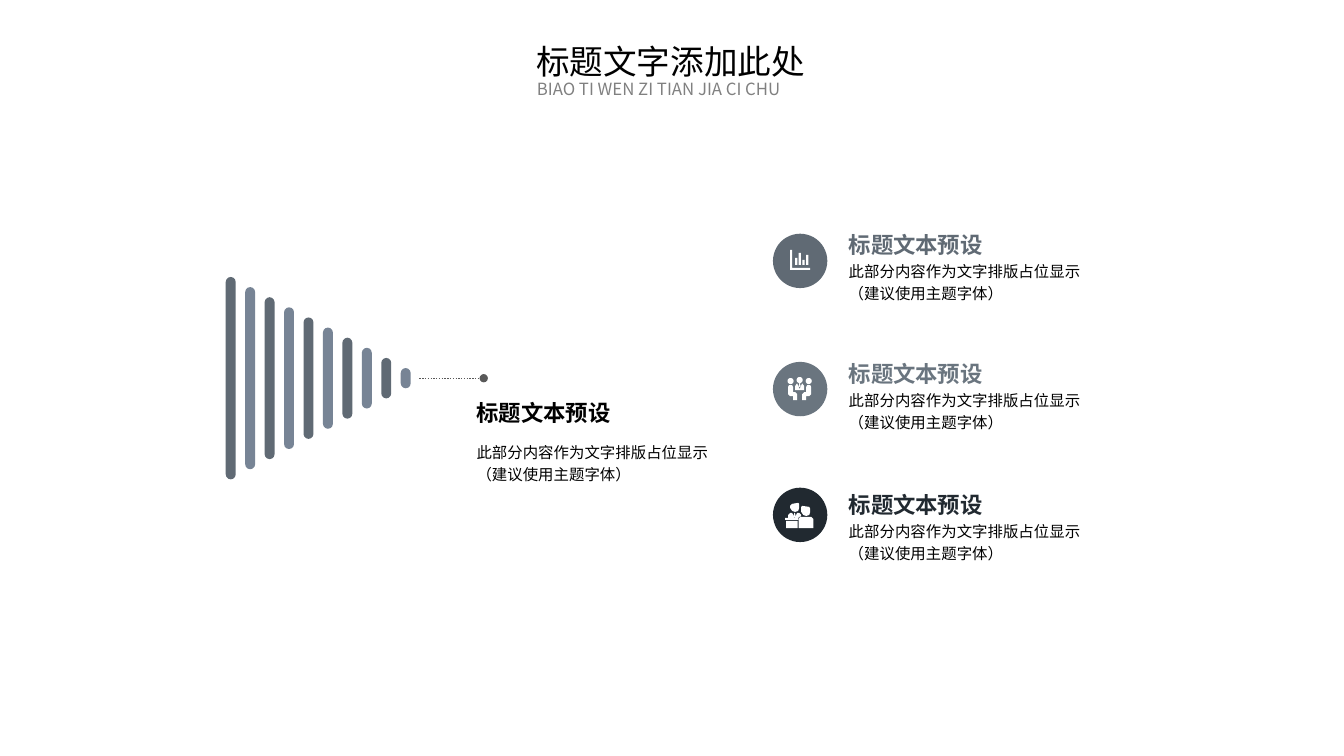
"""Build a slide with a tapering bar motif and three captioned icons."""
import math

from lxml import etree
from pptx import Presentation
from pptx.dml.color import RGBColor
from pptx.enum.dml import MSO_LINE
from pptx.enum.shapes import MSO_CONNECTOR, MSO_SHAPE
from pptx.enum.text import MSO_ANCHOR, MSO_AUTO_SIZE, PP_ALIGN
from pptx.oxml.ns import qn
from pptx.util import Cm, Pt

ROUND, OVAL = MSO_SHAPE.ROUNDED_RECTANGLE, MSO_SHAPE.OVAL
STRAIGHT, DOTTED = MSO_CONNECTOR.STRAIGHT, MSO_LINE.ROUND_DOT
TOP, GROW, NO_FIT = MSO_ANCHOR.TOP, MSO_AUTO_SIZE.SHAPE_TO_FIT_TEXT, MSO_AUTO_SIZE.NONE
LEFT, JUSTIFY = PP_ALIGN.LEFT, PP_ALIGN.JUSTIFY

FONT = "Noto Sans CJK SC"
BLACK = RGBColor(0x00, 0x00, 0x00)
WHITE = RGBColor(0xFF, 0xFF, 0xFF)
GRAY = RGBColor(0x80, 0x80, 0x80)
DOT_GRAY = RGBColor(0x59, 0x59, 0x59)
SLATE = RGBColor(0x60, 0x6A, 0x74)
STEEL = RGBColor(0x77, 0x84, 0x95)
MIST = RGBColor(0x6A, 0x75, 0x7F)
NIGHT = RGBColor(0x21, 0x29, 0x30)

TITLE = "标题文字添加此处"
SUBTITLE = "BIAO TI WEN ZI TIAN JIA CI CHU"
HEADING = "标题文本预设"
BODY = "此部分内容作为文字排版占位显示\n（建议使用主题字体）"


def box(x, y, w, h):
    return [(x, y), (x + w, y), (x + w, y + h), (x, y + h)]


def disc(x, y, r):
    angles = [math.tau * i / 24 for i in range(24)]
    return [(x + r * math.cos(a), y + r * math.sin(a)) for a in angles]


SITTER = [(15, 25), (16, 23), (19, 23), (20, 25), (20, 30), (22, 30), (24, 32),
          (24, 38), (20, 38), (20, 34), (17, 34), (15, 32)]
CHART_ICON = [
    [(17, 16), (19, 16), (19, 34), (37, 34), (37, 36), (17, 36)],
    box(22, 24, 2.3, 7), box(25.5, 19, 2.3, 12),
    box(29.2, 26, 2.3, 5), box(32.8, 21, 2.3, 10),
]
MEETING_ICON = [
    disc(17.5, 19, 3), disc(26.5, 18, 3), disc(35.5, 19, 3),
    SITTER, [(53 - x, y) for x, y in SITTER],
    [(22, 24), (24, 21.3), (26.5, 27), (29, 21.3), (31, 24), (31, 28), (22, 28)],
    [(25.8, 21.3), (27.2, 21.3), (27, 22.5), (27.4, 24), (26.5, 25), (25.6, 24), (26, 22.5)],
]
DESK_ICON = [
    box(13, 33, 11.6, 7),
    [(27, 29), (38, 29), (40, 31), (40, 40), (25.4, 40), (25.4, 31)],
    [(12, 32), (12, 30), (15, 30), (15, 27), (17, 25), (19, 25), (21.5, 30),
     (24, 25), (26, 25), (28, 27), (28, 28), (26, 29), (25, 30), (25, 32)],
    [(21, 25), (22, 25), (22.3, 28), (21.5, 29), (20.7, 28)],
    [(28, 19), (29, 18), (36, 19), (37, 21), (37, 24), (36, 27), (33, 28), (30, 27), (28, 24)],
    [(17, 18), (19, 16), (25, 15), (26, 16), (26, 20), (25, 23), (22, 24), (19, 23), (17, 20)],
]
ROWS = [
    (5.89, 5.82, SLATE, CHART_ICON),
    (9.12, 9.07, MIST, MEETING_ICON),
    (12.29, 12.37, NIGHT, DESK_ICON),
]
BARS, BAR_LEFT, BAR_STEP, BAR_WIDTH, BAR_DROP = 10, 5.69, 0.49, 0.25, 0.51
MIDDLE = 9.53
ICON_LEFT, ICON_SIZE, ICON_UNIT = 19.48, 1.37, Cm(2.54) / 100
TEXT_LEFT, TEXT_WIDTH, TEXT_INSET = 20.98, 7.19, 0.41

prs = Presentation()
prs.slide_width, prs.slide_height = Cm(33.87), Cm(19.05)
s = prs.slides.add_slide(prs.slide_layouts[6])


def paint(sp, color):
    sp.shadow.inherit = False
    sp.fill.solid()
    sp.fill.fore_color.rgb = color
    sp.line.fill.background()


def add_shape(kind, x, y, w, h, color):
    sp = s.shapes.add_shape(kind, Cm(x), Cm(y), Cm(w), Cm(h))
    paint(sp, color)
    return sp


def add_icon(contours, x, y):
    points = [[(Cm(x) + px * ICON_UNIT, Cm(y) + py * ICON_UNIT) for px, py in c] for c in contours]
    builder = s.shapes.build_freeform(*points[0][0])
    for i, contour in enumerate(points):
        if i:
            builder.move_to(*contour[0])
        builder.add_line_segments(contour[1:])
    paint(builder.convert_to_shape(), WHITE)


def add_text(text, x, y, w, h, size, color=BLACK, bold=False, wrap=False,
             inset=(0, 0), spacing=None, align=LEFT, fit=NO_FIT):
    tf = s.shapes.add_textbox(Cm(x), Cm(y), Cm(w), Cm(h)).text_frame
    tf.margin_left = tf.margin_right = Cm(inset[0])
    tf.margin_top = tf.margin_bottom = Cm(inset[1])
    tf.word_wrap, tf.auto_size, tf.vertical_anchor = wrap, fit, TOP
    p = tf.paragraphs[0]
    p.text, p.alignment = text, align
    if spacing:
        p.line_spacing = spacing
    for r in p.runs:
        r.font.name, r.font.size, r.font.bold = FONT, Pt(size), bold
        r.font.color.rgb = color
        etree.SubElement(r.font._element, qn("a:ea")).set("typeface", FONT)


pointer = s.shapes.add_connector(STRAIGHT, Cm(10.57), Cm(MIDDLE), Cm(12.19), Cm(MIDDLE))
pointer.line.color.rgb = DOT_GRAY
pointer.line.width = Pt(1)
pointer.line.dash_style = DOTTED
etree.SubElement(pointer.line._get_or_add_ln(), qn("a:tailEnd")).set("type", "oval")
etree.SubElement(pointer._element.spPr, qn("a:effectLst"))

for i in range(BARS):
    height = (BARS - i) * BAR_DROP
    bar = add_shape(ROUND, BAR_LEFT + i * BAR_STEP, MIDDLE - height / 2,
                    BAR_WIDTH, height, STEEL if i % 2 else SLATE)
    bar.adjustments[0] = 0.5

add_text(HEADING, 12.01, 10.06, 6.22, 1.02, 16, bold=True)
add_text(BODY, 12.01, 11.07, 6.22, 1.19, 11, wrap=True, spacing=1.2)

for icon_top, text_top, color, icon in ROWS:
    add_shape(OVAL, ICON_LEFT, icon_top, ICON_SIZE, ICON_SIZE, color)
    add_icon(icon, ICON_LEFT, icon_top)
    add_text(HEADING, TEXT_LEFT, text_top, TEXT_WIDTH, 0.69, 16, color, True,
             inset=(TEXT_INSET, 0))
    add_text(BODY, TEXT_LEFT, text_top + 0.69, TEXT_WIDTH, 1.5, 11, wrap=True,
             inset=(TEXT_INSET, 0), spacing=1.2)

add_text(TITLE, 13.26, 0.89, 7.34, 1.27, 24, inset=(0.25, 0.13), fit=GROW)
add_text(SUBTITLE, 13.28, 1.85, 7.19, 0.76, 12, GRAY, wrap=True,
         inset=(0.25, 0.13), align=JUSTIFY, fit=GROW)

prs.save("out.pptx")
